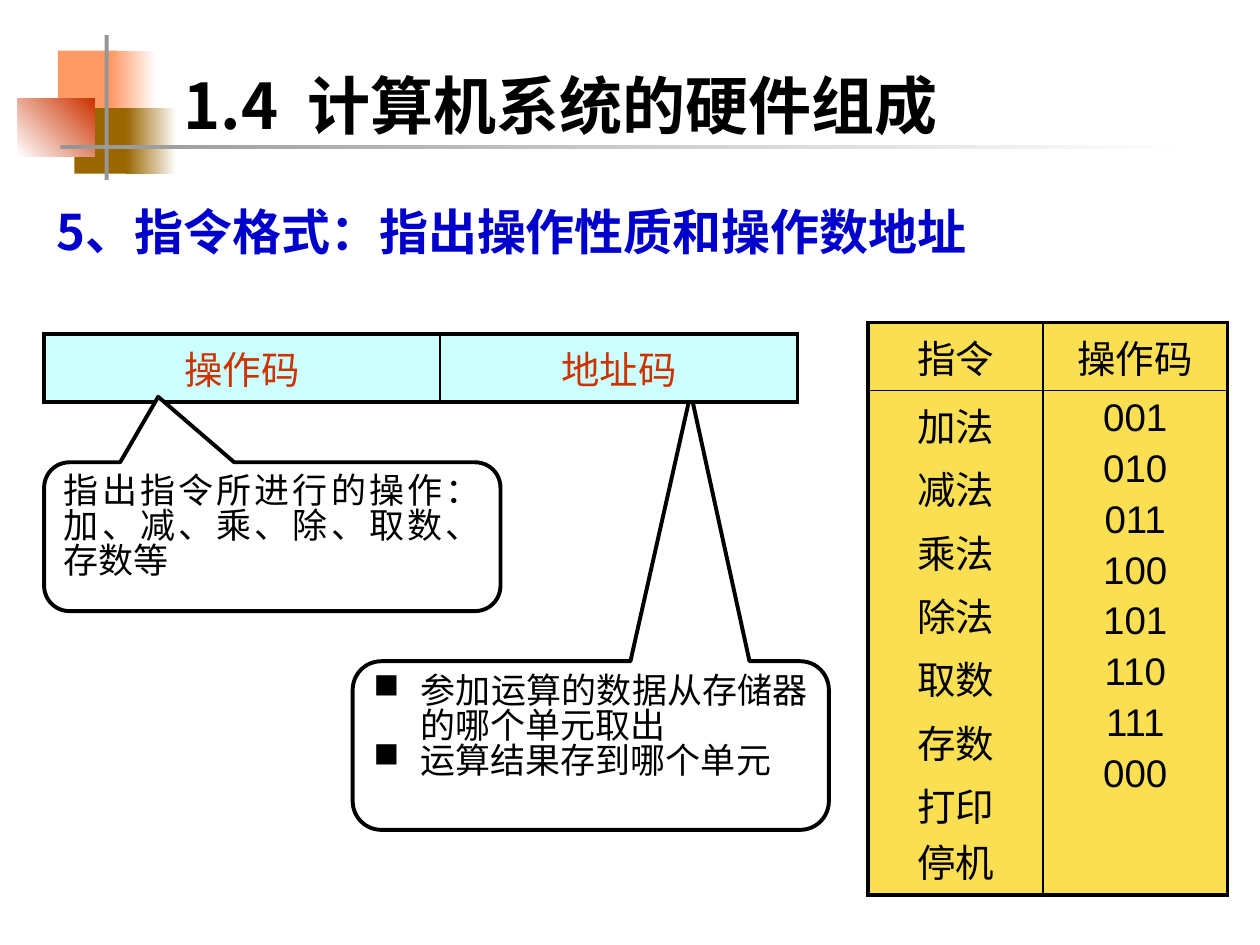
import pptx
import pptx.dml.color
import pptx.enum.shapes
import pptx.enum.text
import pptx.oxml
import pptx.oxml.ns
import pptx.util
import lxml.etree

Cm = pptx.util.Cm
Pt = pptx.util.Pt
ALIGN = pptx.enum.text.PP_ALIGN
ANCHOR = pptx.enum.text.MSO_ANCHOR
SHAPE = pptx.enum.shapes.MSO_SHAPE
CHINESE_FONT = "Noto Sans CJK SC"


def color(value):
    return pptx.dml.color.RGBColor.from_string(value)


def lengths(box):
    return [Cm(value) for value in box]


def add_xml(parent, tag, **attributes):
    element = lxml.etree.SubElement(parent, pptx.oxml.ns.qn(tag))
    for name, value in attributes.items():
        element.set(name, str(value))
    return element


def write_text(frame, lines, size=20, font=CHINESE_FONT, ink="000000", bold=False,
               align=ALIGN.LEFT, anchor=ANCHOR.TOP, line_spacing=1.0,
               gap=0, indent=0, bullet=None):
    frame.word_wrap = True
    frame.vertical_anchor = anchor
    for index, line in enumerate(lines):
        para = frame.add_paragraph() if index else frame.paragraphs[0]
        para.text = line
        para.alignment = align
        para.line_spacing = line_spacing
        para.space_before = Pt(gap if index else 0)
        properties = para._p.get_or_add_pPr()
        properties.set("marL", str(Cm(indent)))
        properties.set("indent", str(-Cm(indent)))
        if bullet:
            add_xml(properties, "a:buChar", char=bullet)
        else:
            add_xml(properties, "a:buNone")
        for span in para.runs:
            span.font.size = Pt(size)
            span.font.name = font
            span.font.bold = bold
            span.font.color.rgb = color(ink)
            add_xml(span._r.get_or_add_rPr(), "a:ea", typeface=CHINESE_FONT)


def place_placeholder(placeholder, box, lines, **text_format):
    placeholder.left, placeholder.top, placeholder.width, placeholder.height = lengths(box)
    write_text(placeholder.text_frame, lines, **text_format)


def add_ornament(page, box):
    left, top, width, height = box
    blocks = [
        (0.81, 0.31, 1.22, 1.32, ["FF9966"], 0),
        (1.88, 0.31, 0.91, 1.32, ["FF9966", "FFFFFF"], 0),
        (1.14, 1.47, 1.17, 1.32, ["996600"], 0),
        (2.18, 1.47, 1.02, 1.32, ["996600", "FFFFFF"], 0),
        (0, 1.27, 1.55, 1.17, ["FFFFFF", "CC3300"], 45),
        (1.75, 0, 0.08, height, ["969696"], 0),
        (0.86, 2.21, width - 0.86, 0.08, ["969696", "FFFFFF"], 0),
    ]
    for x, y, block_width, block_height, shades, angle in blocks:
        block = page.shapes.add_shape(
            SHAPE.RECTANGLE, *lengths((left + x, top + y, block_width, block_height)))
        block.shadow.inherit = False
        block.line.fill.background()
        if len(shades) == 1:
            block.fill.solid()
            block.fill.fore_color.rgb = color(shades[0])
        else:
            block.fill.gradient()
            block.fill.gradient_angle = angle
            for stop, shade in zip(block.fill.gradient_stops, shades):
                stop.color.rgb = color(shade)


def add_callout(page, box, pointer, lines, **text_format):
    callout = page.shapes.add_shape(SHAPE.ROUNDED_RECTANGULAR_CALLOUT, *lengths(box))
    callout.shadow.inherit = False
    for index, value in enumerate((*pointer, 0.17)):
        callout.adjustments[index] = value
    callout.fill.solid()
    callout.fill.fore_color.rgb = color("FFFFFF")
    callout.line.color.rgb = color("000000")
    callout.line.width = Pt(2.25)
    write_text(callout.text_frame, lines, align=ALIGN.JUSTIFY,
               line_spacing=0.83, **text_format)


def set_borders(cell, outer_sides):
    properties = cell._tc.get_or_add_tcPr()
    for side in "LRTB":
        width = Pt(2.25 if side in outer_sides else 1)
        line = add_xml(properties, "a:ln" + side, w=width)
        add_xml(add_xml(line, "a:solidFill"), "a:srgbClr", val="000000")


def add_grid(page, box, column_widths, row_heights, contents, fill, ink):
    row_count, column_count = len(row_heights), len(column_widths)
    table = page.shapes.add_table(row_count, column_count, *lengths(box)).table
    table.first_row = False
    table.horz_banding = False
    for column, width in zip(table.columns, column_widths):
        column.width = Cm(width)
    for row, height in zip(table.rows, row_heights):
        row.height = Cm(height)
    for row_index, row_contents in enumerate(contents):
        for column_index, lines in enumerate(row_contents):
            cell = table.cell(row_index, column_index)
            edges = {"L": column_index == 0, "R": column_index == column_count - 1,
                     "T": row_index == 0, "B": row_index == row_count - 1}
            set_borders(cell, [side for side, is_outer in edges.items() if is_outer])
            cell.fill.solid()
            cell.fill.fore_color.rgb = color(fill)
            write_text(cell.text_frame, lines, size=22, font="Arial", ink=ink,
                       align=ALIGN.CENTER, gap=4.4)


def main():
    deck = pptx.Presentation()
    deck.slide_width, deck.slide_height = Cm(25.4), Cm(19.05)
    page = deck.slides.add_slide(deck.slide_layouts[1])
    title, body = page.placeholders

    add_ornament(page, (0.36, 0.71, 23.72, 2.92))
    place_placeholder(title, (3.45, 0.53, 16.64, 2.39), ["1.4  计算机系统的硬件组成"],
                      size=36, bold=True, anchor=ANCHOR.MIDDLE, line_spacing=1.5)
    place_placeholder(body, (0.89, 3.94, 23.65, 3.68),
                      ["5、指令格式：指出操作性质和操作数地址"],
                      size=28, bold=True, ink="0000CC")

    add_callout(page, (7.11, 13.33, 9.6, 3.4), (0.21, -2.09),
                ["参加运算的数据从存储器的哪个单元取出", "运算结果存到哪个单元"],
                indent=0.95, bullet="■")
    add_grid(page, (0.89, 6.73, 15.19, 1.19), [7.98, 7.21], [1.19],
             [[["操作码"], ["地址码"]]], fill="CCFFFF", ink="CC3300")
    add_callout(page, (0.89, 9.32, 9.2, 3), (-0.25, -0.94),
                ["指出指令所进行的操作：加、减、乘、除、取数、存数等"])

    operations = ["加法", "减法", "乘法", "除法", "取数", "存数", "打印\v停机"]
    codes = ["001", "010", "011", "100", "101", "110", "111", "000"]
    add_grid(page, (17.5, 6.5, 7.24, 10.44), [3.53, 3.71], [1.19, 9.25],
             [[["指令"], ["操作码"]], [operations, codes]], fill="FBDF53", ink="000000")
    deck.save("out.pptx")


if __name__ == "__main__":
    main()
